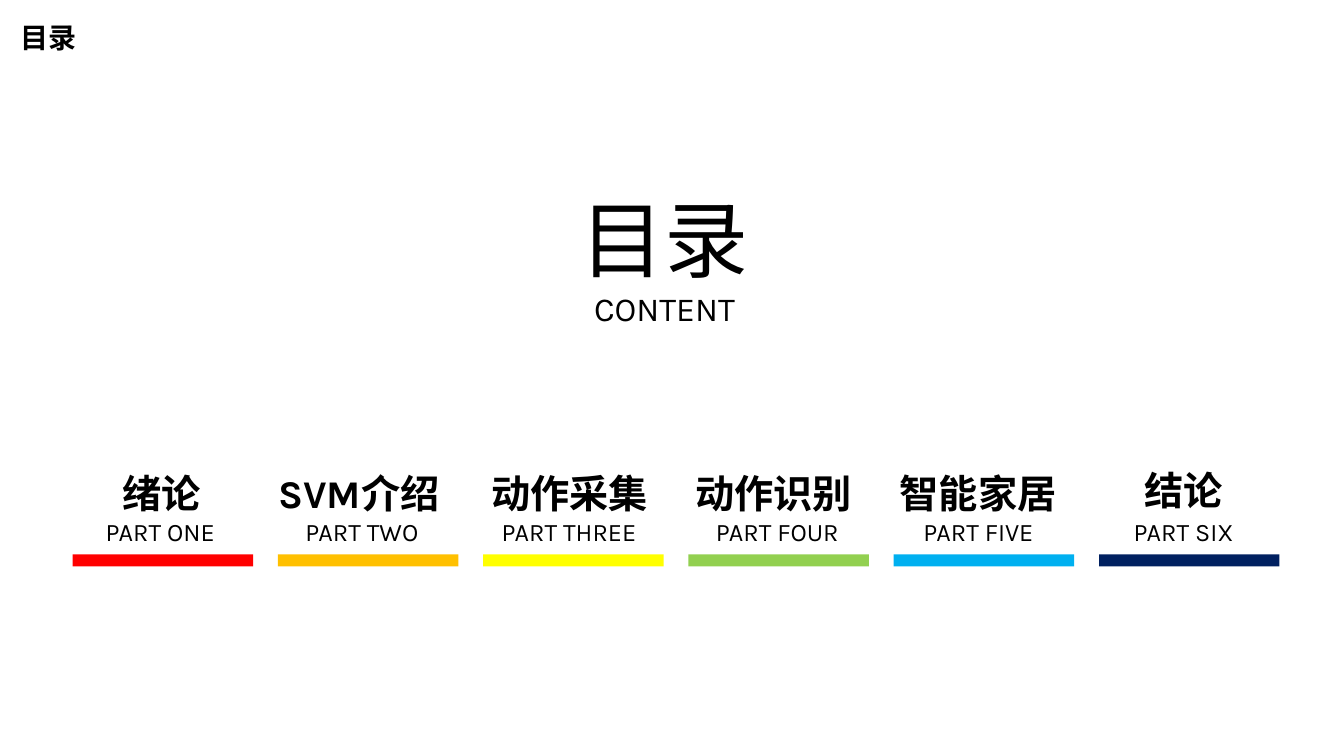
from dataclasses import dataclass

from pptx import Presentation
from pptx.dml.color import RGBColor
from pptx.enum import shapes, text
from pptx.util import Inches, Pt


@dataclass(frozen=True)
class Theme:
    font: str = "Karla"
    ink: str = "000000"
    heading: int = 20
    hero: int = 60
    subtitle: int = 24
    name: int = 28
    label: int = 18
    bars: tuple = ("FF0000", "FFC000", "FFFF00", "92D050", "00B0F0", "002060")


class ContentsSlide:
    def __init__(self, slide, theme):
        self.slide = slide
        self.theme = theme

    def add_words(self, paragraph, words, size, bold=False, align=text.PP_ALIGN.CENTER, spacing=1.0):
        paragraph.alignment = align
        paragraph.line_spacing = spacing
        run = paragraph.add_run()
        run.text = words
        run.font.name = self.theme.font
        run.font.size = Pt(size)
        run.font.bold = bold
        run.font.color.rgb = RGBColor.from_string(self.theme.ink)

    def heading(self, words, left, top, width, height):
        title = self.slide.shapes.title
        title.left, title.top = Inches(left), Inches(top)
        title.width, title.height = Inches(width), Inches(height)
        frame = title.text_frame
        frame.auto_size = text.MSO_AUTO_SIZE.SHAPE_TO_FIT_TEXT
        frame.vertical_anchor = text.MSO_ANCHOR.TOP
        self.add_words(frame.paragraphs[0], words, self.theme.heading, True, text.PP_ALIGN.LEFT)
        frame.paragraphs[0].space_before = Pt(0)

    def text_box(self, lines, left, top, width, height, bold=False, spacing=1.0):
        """Add centred text; lines holds (words, size) pairs, one a paragraph."""
        frame = self.slide.shapes.add_textbox(
            Inches(left), Inches(top), Inches(width), Inches(height)).text_frame
        frame.word_wrap = True
        frame.auto_size = text.MSO_AUTO_SIZE.SHAPE_TO_FIT_TEXT
        for index, (words, size) in enumerate(lines):
            paragraph = frame.add_paragraph() if index else frame.paragraphs[0]
            self.add_words(paragraph, words, size, bold, spacing=spacing)

    def bar(self, color, left, top, width, height):
        bar = self.slide.shapes.add_shape(
            shapes.MSO_SHAPE.RECTANGLE,
            Inches(left), Inches(top), Inches(width), Inches(height))
        bar.shadow.inherit = False
        bar.fill.solid()
        bar.fill.fore_color.rgb = RGBColor.from_string(color)
        bar.line.fill.background()


# name, its left and top; label, its left and width
PARTS = [
    ("绪论", 0.64, 4.47, "PART ONE", 0.79, 1.6),
    ("SVM介绍", 2.6, 4.47, "PART TWO", 2.72, 1.74),
    ("动作采集", 4.69, 4.47, "PART THREE", 4.71, 1.87),
    ("动作识别", 6.71, 4.47, "PART FOUR", 6.94, 1.54),
    ("智能家居", 8.74, 4.47, "PART FIVE", 9.04, 1.33),
    ("结论", 10.78, 4.44, "PART SIX", 11.07, 1.34),
]
FIRST_BAR, LAST_BAR = 0.72, 10.9


def main():
    deck = Presentation()
    deck.slide_width, deck.slide_height = Inches(13.33), Inches(7.5)
    theme = Theme()
    contents = ContentsSlide(deck.slides.add_slide(deck.slide_layouts[5]), theme)

    contents.heading("目录", 0.1, 0.15, 2.07, 0.44)
    contents.text_box([("目录", theme.hero), ("CONTENT", theme.subtitle)], 5.18, 1.81, 2.82, 1.51)

    pitch = (LAST_BAR - FIRST_BAR) / (len(PARTS) - 1)
    for index, (part, color) in enumerate(zip(PARTS, theme.bars)):
        name, name_left, name_top, label, label_left, label_width = part
        contents.text_box([(label, theme.label)], label_left, 4.98, label_width, 0.49, spacing=1.3)
        contents.text_box([(name, theme.name)], name_left, name_top, 1.92, 0.65, True, 1.3)
        contents.bar(color, FIRST_BAR + index * pitch, 5.5, 1.79, 0.12)

    deck.save("out.pptx")


if __name__ == "__main__":
    main()
